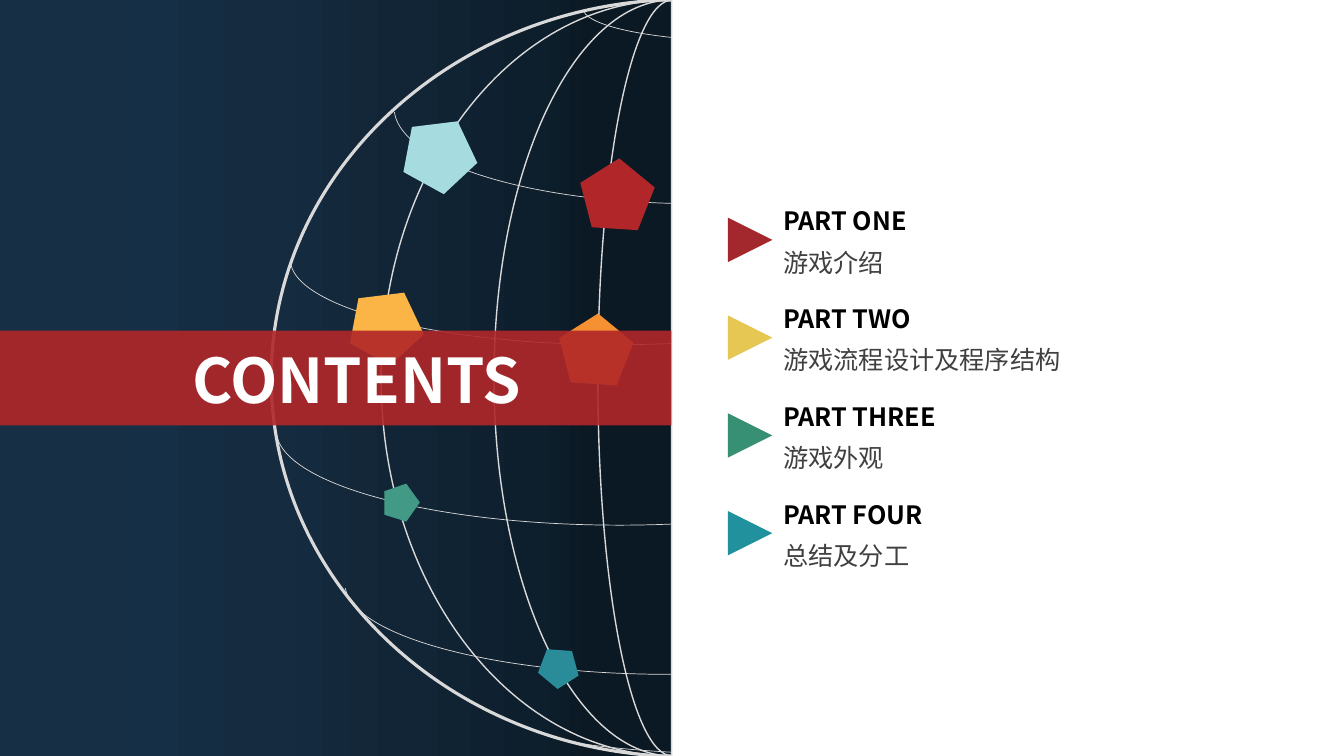
from dataclasses import dataclass

from lxml.etree import Element, SubElement
from pptx import Presentation
from pptx.dml.color import RGBColor
from pptx.enum.shapes import MSO_SHAPE
from pptx.enum.text import MSO_ANCHOR, MSO_AUTO_SIZE, PP_ALIGN
from pptx.oxml.ns import qn
from pptx.util import Inches, Pt


@dataclass(frozen=True)
class Theme:
    font: str = "Noto Sans CJK SC"
    title_size: int = 44
    item_size: int = 18
    white: str = "FFFFFF"
    black: str = "000000"
    grey: str = "404040"
    grid: str = "D9D9D9"
    band: str = "B12729"
    night: tuple = ((0, "162F45"), (20, "152F46"), (40, "152B40"),
                    (60, "122536"), (80, "0D1F2D"), (88, "0B1924"))
    pentagons: tuple = ("A6DCDF", "FAB546", "429A86", "2A8C98", "B12729", "F59132")
    markers: tuple = ("A3282D", "E7C753", "379074", "21919D")


class Deck:
    def __init__(self, prs, theme):
        self.theme = theme
        self.s = prs.slides.add_slide(prs.slide_layouts[6])

    def shape(self, kind, box, color=None, rot=0, alpha=None):
        sp = self.s.shapes.add_shape(kind, *map(Inches, box))
        sp.shadow.inherit = False
        sp.rotation = rot
        sp.line.fill.background()
        if color:
            sp.fill.solid()
            sp.fill.fore_color.rgb = RGBColor.from_string(color)
        else:
            sp.fill.background()
        if alpha:
            clr = sp.fill._xPr.find(".//" + qn("a:srgbClr"))
            SubElement(clr, qn("a:alpha"), val=str(alpha * 1000))
        return sp

    def gradient(self, box, stops):
        sp = self.shape(MSO_SHAPE.RECTANGLE, box)
        sp.fill.gradient()
        sp.fill.gradient_angle = 0
        gs_list = sp.fill._xPr.find(".//" + qn("a:gsLst"))
        for gs in list(gs_list):
            gs_list.remove(gs)
        for pos, color in stops:
            gs = SubElement(gs_list, qn("a:gs"), pos=str(pos * 1000))
            SubElement(gs, qn("a:srgbClr"), val=color)

    def outline(self, sp, width):
        sp.line.color.rgb = RGBColor.from_string(self.theme.grid)
        sp.line.width = Pt(width)

    def meridian(self, x, height, reach, width, lip=0, k=0.552):
        """Left half of an oval; lip is the short flat run at top and bottom."""
        left, mid, inner = x - reach, height / 2, x - lip
        corners = [(x, 0), (x, height), (inner, height), (left, mid), (inner, 0)]
        if not lip:
            del corners[2]
        points = [tuple(map(Inches, corner)) for corner in corners]
        fb = self.s.shapes.build_freeform(*points[0], scale=1.0)
        fb.add_line_segments(points[1:], close=True)
        sp = fb.convert_to_shape()

        # Turn the last two segments into quarter curves
        handle, rise = inner - k * (inner - left), k * (mid - lip)
        curves = (((handle, height - lip), (left, mid + rise), (left, mid)),
                  ((left, mid - rise), (handle, lip), (inner, 0)))
        path = sp._element.find(".//" + qn("a:path"))
        for line, curve in zip(path.findall(qn("a:lnTo"))[len(corners) - 3:], curves):
            bezier = Element(qn("a:cubicBezTo"))
            for px, py in curve:
                SubElement(bezier, qn("a:pt"), x=str(Inches(px - left)), y=str(Inches(py)))
            path.replace(line, bezier)
        sp.shadow.inherit = False
        sp.fill.background()
        self.outline(sp, width)

    def parallel(self, box, start=181, end=359.19):
        """Upper half of an ellipse, flipped both ways to hang down."""
        sp = self.shape(MSO_SHAPE.ARC, box)
        for i, degrees in enumerate((start, end)):
            sp.adjustments[i] = degrees * 0.6  # 60000 units per degree
        for flip in ("flipH", "flipV"):
            sp._element.spPr.find(qn("a:xfrm")).set(flip, "1")
        self.outline(sp, 0.5)

    def text(self, box, words, size, color, bold=False, align=PP_ALIGN.LEFT):
        tf = self.s.shapes.add_textbox(*map(Inches, box)).text_frame
        frame = {"word_wrap": True, "auto_size": MSO_AUTO_SIZE.SHAPE_TO_FIT_TEXT,
                 "vertical_anchor": MSO_ANCHOR.TOP}
        for name, value in frame.items():
            setattr(tf, name, value)
        p = tf.paragraphs[0]
        p.alignment = align
        r = p.add_run()
        r.text = words
        for name, value in {"name": self.theme.font, "size": Pt(size), "bold": bold}.items():
            setattr(r.font, name, value)
        r.font.color.rgb = RGBColor.from_string(color)
        SubElement(r.font._element, qn("a:ea"), typeface=self.theme.font)


prs = Presentation()
prs.slide_width, prs.slide_height = Inches(13.33), Inches(7.5)
theme = Theme()
deck = Deck(prs, theme)
HALF, HEIGHT = 6.67, 7.5

# Night background
deck.gradient((0, 0, HALF, HEIGHT), theme.night)

# Globe grid
for reach, width, lip in ((3.98, 2.25, 0.11), (2.89, 1, 0), (1.77, 1, 0), (0.74, 1, 0)):
    deck.meridian(HALF, HEIGHT, reach, width, lip)
for box in ((5.32, 6.95, 4.77, 0.54), (3.42, 4.89, 6.42, 1.8),
            (2.74, 3.33, 6.81, 1.88), (2.88, 1.73, 6.47, 1.69),
            (3.91, 0.12, 5.93, 1.9), (5.78, -0.25, 3.31, 0.66)):
    deck.parallel(box)

# Pentagons on the globe
places = (((4, 1.16, 0.74, 0.7), 28.8), ((3.47, 2.86, 0.74, 0.7), 28.8),
          ((3.79, 4.79, 0.37, 0.36), 17.5), ((5.33, 6.41, 0.4, 0.39), 327.4),
          ((5.75, 1.57, 0.74, 0.7), 3.6), ((5.54, 3.11, 0.74, 0.7), 3.6))
for (box, rot), color in zip(places, theme.pentagons):
    deck.shape(MSO_SHAPE.REGULAR_PENTAGON, box, color, rot)

# Title band and white half
deck.shape(MSO_SHAPE.RECTANGLE, (0, 3.28, 6.66, 0.94), theme.band, alpha=90)
deck.shape(MSO_SHAPE.RECTANGLE, (HALF, 0, HALF, HEIGHT), theme.white)
deck.text((1.56, 3.34, 3.96, 0.84), "CONTENTS", theme.title_size, theme.white,
          bold=True, align=PP_ALIGN.CENTER)

# Contents list
parts = (("PART ONE", "游戏介绍"), ("PART TWO", "游戏流程设计及程序结构"),
         ("PART THREE", "游戏外观"), ("PART FOUR", "总结及分工"))
for i, ((part, topic), color) in enumerate(zip(parts, theme.markers)):
    top = 1.99 + 0.97 * i
    deck.shape(MSO_SHAPE.ISOSCELES_TRIANGLE, (7.22, top + 0.17, 0.44, 0.44), color, rot=90)
    deck.text((7.67, top, 3.75, 0.4), part, theme.item_size, theme.black, bold=True)
    deck.text((7.67, top + 0.41, 5.54, 0.4), topic, theme.item_size, theme.grey)

prs.save("out.pptx")
